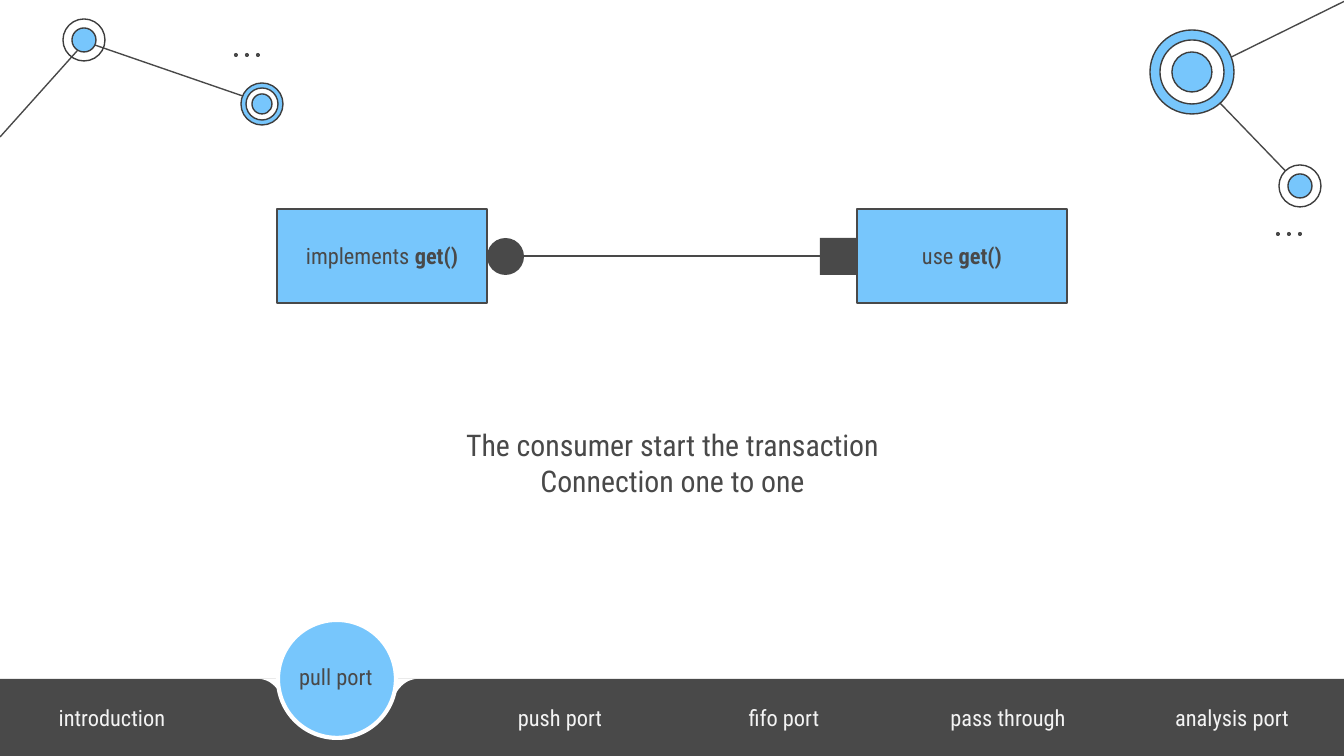
from dataclasses import dataclass

import pptx
import pptx.dml.color
import pptx.enum.shapes
import pptx.enum.text
import pptx.oxml.ns
import pptx.util
from lxml import etree

SCALE = 914400 / 134.4  # EMU in one px
WIDTH, HEIGHT = 1344, 756
FONT = "Roboto Condensed"
BLUE, DARK, OUTLINE = "77C6FC", "494949", "3D3D3D"
WHITE, LIGHT = "FFFFFF", "F3F3F3"
RECTANGLE = pptx.enum.shapes.MSO_SHAPE.RECTANGLE
OVAL = pptx.enum.shapes.MSO_SHAPE.OVAL
MIDDLE = pptx.enum.text.MSO_ANCHOR.MIDDLE
TOP = pptx.enum.text.MSO_ANCHOR.TOP


@dataclass(frozen=True)
class Box:
    left: int
    top: int
    width: int
    height: int


@dataclass(frozen=True)
class Line:
    start: tuple[int, int]
    end: tuple[int, int]
    weight: float = 0.75


@dataclass(frozen=True)
class Node:
    center: tuple[int, int]
    rings: tuple[tuple[int, str | None], ...]  # radius and fill, outermost first


@dataclass(frozen=True)
class Component:
    box: Box
    verb: str


LINKS = [
    Line((1300, 186), (1192, 74)),
    Line((86, 42), (263, 103)),
    Line((0, 137), (86, 41)),
    Line((1345, 1), (1197, 74)),
]
NODES = [
    Node((84, 40), ((21, None), (12, BLUE))),
    Node((262, 104), ((21, BLUE), (16, WHITE), (10, BLUE))),
    Node((1192, 72), ((42, BLUE), (32, WHITE), (20, BLUE))),
    Node((1300, 186), ((21, WHITE), (12, BLUE))),
]
DOT_ROWS = [(234, 53), (1276, 232)]
DOT_SIZE, DOT_STEP = 4, 11

TABS = ["introduction", "pull port", "push port", "fifo port", "pass through", "analysis port"]
ACTIVE_TAB = "pull port"
BAR = Box(0, 679, WIDTH, 77)
ACTIVE_CIRCLE = Box(278, 620, 118, 118)

COMPONENTS = [
    Component(Box(277, 209, 210, 94), "implements "),
    Component(Box(857, 209, 210, 94), "use "),
]


def emu(px: float) -> pptx.util.Emu:
    return pptx.util.Emu(round(px * SCALE))


def color(value: str) -> pptx.dml.color.RGBColor:
    return pptx.dml.color.RGBColor.from_string(value)


def paint(shape, fill: str | None, line: str | None = None, weight: float = 0.75) -> None:
    shape.shadow.inherit = False
    if fill is None:
        shape.fill.background()
    else:
        shape.fill.solid()
        shape.fill.fore_color.rgb = color(fill)
    if line is None:
        shape.line.fill.background()
    else:
        shape.line.color.rgb = color(line)
        shape.line.width = pptx.util.Pt(weight)


def draw_shape(slide, kind, box: Box, fill: str | None, line: str | None = None, weight: float = 0.75):
    shape = slide.shapes.add_shape(kind, emu(box.left), emu(box.top), emu(box.width), emu(box.height))
    paint(shape, fill, line, weight)
    return shape


def draw_line(slide, line: Line) -> None:
    connector = slide.shapes.add_connector(
        pptx.enum.shapes.MSO_CONNECTOR.STRAIGHT, *map(emu, line.start + line.end)
    )
    connector.line.color.rgb = color(DARK)
    connector.line.width = pptx.util.Pt(line.weight)
    etree.SubElement(connector._element.spPr, pptx.oxml.ns.qn("a:effectLst"))


def draw_node(slide, node: Node) -> None:
    x, y = node.center
    for radius, fill in node.rings:
        draw_shape(slide, OVAL, Box(x - radius, y - radius, 2 * radius, 2 * radius), fill, OUTLINE)


def draw_dots(slide, left: int, top: int) -> None:
    for index in range(3):
        draw_shape(slide, OVAL, Box(left + index * DOT_STEP, top, DOT_SIZE, DOT_SIZE), DARK)


def write(shape, lines: list[str], size: int, text_color: str, anchor=MIDDLE, bold_end: str = "") -> None:
    frame = shape.text_frame
    frame.word_wrap = True
    frame.vertical_anchor = anchor
    for index, text in enumerate(lines):
        paragraph = frame.add_paragraph() if index else frame.paragraphs[0]
        paragraph.alignment = pptx.enum.text.PP_ALIGN.CENTER
        paragraph.font.name = FONT
        paragraph.font.size = pptx.util.Pt(size)
        paragraph.font.color.rgb = color(text_color)
        paragraph.add_run().text = text
        if bold_end:
            run = paragraph.add_run()
            run.text = bold_end
            run.font.bold = True


def draw_text(slide, box: Box, lines: list[str], size: int, text_color: str, anchor=MIDDLE):
    text_box = slide.shapes.add_textbox(emu(box.left), emu(box.top), emu(box.width), emu(box.height))
    write(text_box, lines, size, text_color, anchor)
    return text_box


def bezier(points: list[tuple[int, int]], steps: int = 12) -> list[tuple[float, float]]:
    curve = []
    for step in range(1, steps + 1):
        t = step / steps
        weights = ((1 - t) ** 3, 3 * t * (1 - t) ** 2, 3 * t**2 * (1 - t), t**3)
        curve.append(tuple(sum(w * p[axis] for w, p in zip(weights, points)) for axis in (0, 1)))
    return curve


def draw_notch(slide, edge: int, direction: int) -> None:
    """Round the corner of the bar beside the active tab."""
    corner = [(0, 0), (34, 0), (34, 20), (24, 20), (23, 16)]
    outline = corner + bezier([(23, 16), (17, 5), (9, 0), (0, 0)])
    points = [(emu(edge + direction * x), emu(BAR.top + y)) for x, y in outline]
    builder = slide.shapes.build_freeform(*points[0])
    builder.add_line_segments(points[1:], close=True)
    paint(builder.convert_to_shape(), WHITE)


def main() -> None:
    presentation = pptx.Presentation()
    presentation.slide_width, presentation.slide_height = emu(WIDTH), emu(HEIGHT)
    slide = presentation.slides.add_slide(presentation.slide_layouts[6])

    # Corner networks
    for link in LINKS:
        draw_line(slide, link)
    for node in NODES:
        draw_node(slide, node)
    for left, top in DOT_ROWS:
        draw_dots(slide, left, top)

    # Navigation bar
    draw_shape(slide, RECTANGLE, BAR, DARK)
    draw_notch(slide, 258, 1)
    draw_notch(slide, 418, -1)
    draw_shape(slide, OVAL, ACTIVE_CIRCLE, BLUE, WHITE, 2.25)
    tab_width = WIDTH // len(TABS)
    for index, label in enumerate(TABS):
        active = label == ACTIVE_TAB
        top = BAR.top - 41 if active else BAR.top
        box = Box(index * tab_width, top, tab_width, BAR.height)
        draw_text(slide, box, [label], 12, DARK if active else LIGHT)

    # Explanation
    message = ["The consumer start the transaction", "Connection one to one"]
    text_box = draw_text(slide, Box(319, 413, 707, 167), message, 16, DARK, TOP)
    text_box.text_frame.margin_top = text_box.text_frame.margin_bottom = pptx.util.Inches(0.1)

    # Components, ports and connection
    for component in COMPONENTS:
        shape = draw_shape(slide, RECTANGLE, component.box, BLUE, DARK, 1)
        write(shape, [component.verb], 12, DARK, bold_end="get()")
    draw_shape(slide, RECTANGLE, Box(820, 238, 37, 37), DARK)
    draw_shape(slide, OVAL, Box(487, 238, 37, 37), DARK)
    draw_line(slide, Line((524, 256), (820, 256), 1.5))

    presentation.save("out.pptx")


if __name__ == "__main__":
    main()
